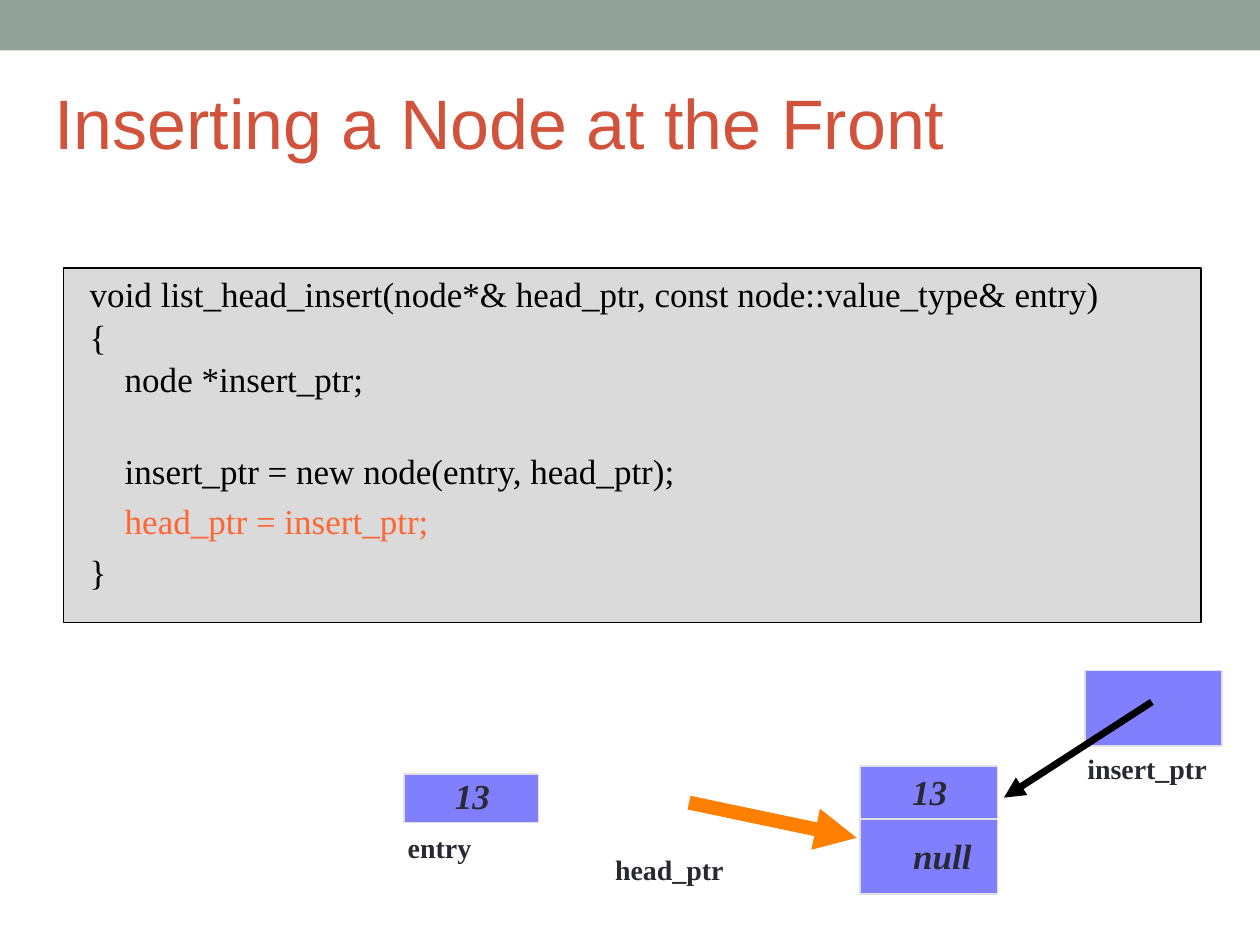
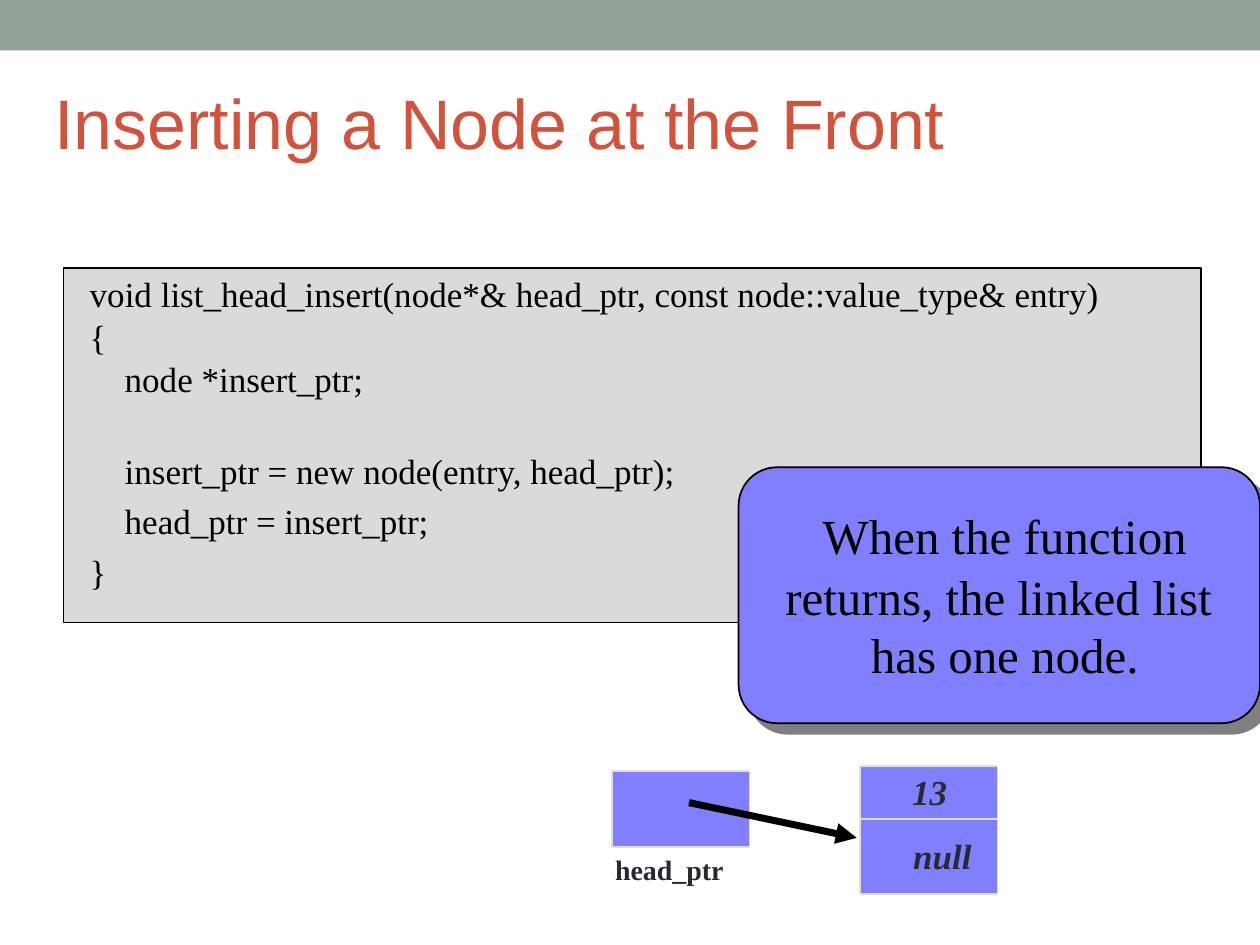
from lxml import etree
from pptx import Presentation
from pptx import util as u
from pptx.dml.color import RGBColor
from pptx.enum import shapes, text
from pptx.oxml import ns

SAGE = RGBColor(0x93, 0xA2, 0x99)
BRICK = RGBColor(0xD2, 0x53, 0x3C)
INK = RGBColor(0x29, 0x29, 0x34)
BLACK = RGBColor(0, 0, 0)
BLUE = RGBColor(0x80, 0x80, 0xFF)
PALE = RGBColor(0xE0, 0xE0, 0xE0)
GREY = RGBColor(0xDA, 0xDA, 0xDA)
ORANGE = RGBColor(0xFF, 0x80, 0x00)
CORAL = RGBColor(0xFF, 0x66, 0x33)

SANS, SERIF = "Arial", "Times New Roman"
TITLE = "Inserting a Node at the Front"

# Each code line with its space before, in points
CODE = [
    ("void list_head_insert(node*& head_ptr, const node::value_type& entry)", 0),
    ("{", 0),
    ("    node *insert_ptr;", 0),
    ("    insert_ptr = new node(entry, head_ptr);", 28.5),
    ("    head_ptr = insert_ptr;", 5),
    ("}", 5),
]


def cm(*nums):
    return [u.Cm(n) for n in nums]


def sub(node, tag, **attrs):
    return etree.SubElement(node, ns.qn(tag), attrs)


def write(par, words, size=20, font=SERIF, color=BLACK, bold=False,
          ital=False, align=text.PP_ALIGN.LEFT, lead=1.0, gap=0):
    par.alignment, par.line_spacing = align, lead
    if gap:
        par.space_before = u.Pt(gap)
    run = par.add_run()
    run.text = words
    face = run.font
    face.name, face.size = font, u.Pt(size)
    face.bold, face.italic = bold, ital
    face.color.rgb = color


class Deck:
    def __init__(self):
        self.prs = Presentation()
        self.prs.slide_width, self.prs.slide_height = cm(25.4, 19.05)
        self.slide = None

    def start(self, title):
        self.slide = self.prs.slides.add_slide(self.prs.slide_layouts[5])
        self.box(0, 0, 25.4, 1.02, SAGE)
        head = self.slide.shapes.title
        head.left, head.top, head.width, head.height = cm(0.84, 0.94, 21.59, 3.18)
        frame = head.text_frame
        frame.auto_size = text.MSO_AUTO_SIZE.NONE
        frame.vertical_anchor = text.MSO_ANCHOR.MIDDLE
        write(frame.paragraphs[0], title, size=40, font=SANS, color=BRICK, lead=0.95)

    def box(self, x, y, w, h, fill, edge=None, kind=shapes.MSO_SHAPE.RECTANGLE):
        shape = self.slide.shapes.add_shape(kind, *cm(x, y, w, h))
        shape.shadow.inherit = False
        shape.fill.solid()
        shape.fill.fore_color.rgb = fill
        if edge is None:
            shape.line.fill.background()
        else:
            shape.line.color.rgb = edge
            shape.line.width = u.Pt(1)
        return shape

    def frame(self, x, y, w, h, wrap=False):
        frame = self.slide.shapes.add_textbox(*cm(x, y, w, h)).text_frame
        frame.word_wrap = wrap
        return frame

    def lines(self, frame, rows):
        for i, (words, form) in enumerate(rows):
            par = frame.add_paragraph() if i else frame.paragraphs[0]
            write(par, words, **form)

    def label(self, x, y, w, words):
        self.lines(self.frame(x, y, w, 0.89),
                   [(words, dict(size=16, color=INK, bold=True, lead=0.93))])

    def value(self, x, y, w, words):
        self.lines(self.frame(x, y, w, 1.04),
                   [(words, dict(color=INK, bold=True, ital=True, lead=0.93))])

    def line(self, x1, y1, x2, y2, color, width, arrow=False):
        link = self.slide.shapes.add_connector(
            shapes.MSO_CONNECTOR.STRAIGHT, *cm(x1, y1, x2, y2))
        link.line.color.rgb, link.line.width = color, u.Pt(width)
        props = link._element.spPr
        if arrow:
            sub(props.find(ns.qn("a:ln")), "a:tailEnd", type="triangle")
        sub(props, "a:effectLst")

    def pointer(self, x, y):
        self.box(x, y, 2.77, 1.52, BLUE, PALE)

    def node(self):
        self.box(17.34, 15.45, 2.77, 2.57, BLUE, PALE)
        self.line(17.34, 16.51, 20.12, 16.51, PALE, 1)
        self.value(18.14, 15.49, 1.25, "13")
        self.value(18.16, 16.78, 1.75, "null")

    def head(self, color, width):
        self.label(12.15, 17.12, 2.8, "head_ptr")
        self.line(13.89, 16.18, 17.27, 16.89, color, width, arrow=True)

    def panel(self):
        self.box(1.28, 5.41, 22.94, 7.14, GREY, BLACK)

    def code(self, mark=None):
        rows = [(words, dict(gap=gap, lead=1.0 if i else 0.93,
                             color=CORAL if i == mark else BLACK))
                for i, (words, gap) in enumerate(CODE)]
        self.lines(self.frame(1.56, 5.44, 23.65, 6.65, wrap=True), rows)

    def callout(self, rows):
        card = self.box(14.89, 9.42, 10.51, 5.16, BLUE, BLACK,
                        shapes.MSO_SHAPE.ROUNDED_RECTANGLE)
        card.adjustments[0] = 0.15
        glow = card._element.spPr.find(ns.qn("a:effectLst"))
        shade = sub(glow, "a:outerShdw", dist=str(u.Pt(8.5)), dir="2700000",
                    algn="ctr", rotWithShape="0")
        sub(sub(shade, "a:srgbClr", val=str(BLACK)), "a:alpha", val="50000")
        self.lines(self.frame(15.58, 10.16, 9.35, 3.76),
                   [(words, dict(size=28, align=text.PP_ALIGN.CENTER,
                                 lead=1.0 if i else 0.95))
                    for i, words in enumerate(rows)])


def main():
    deck = Deck()

    # Slide 1: head_ptr is set to the new node
    deck.start(TITLE)
    deck.box(8.14, 15.6, 2.72, 0.98, BLUE, PALE)
    deck.label(7.97, 16.67, 2.0, "entry")
    deck.value(8.92, 15.57, 1.25, "13")
    deck.node()
    deck.pointer(21.87, 13.52)
    deck.label(21.67, 15.09, 3.0, "insert_ptr")
    deck.line(23.22, 14.15, 20.24, 16.08, BLACK, 4, arrow=True)
    deck.head(ORANGE, 8)
    deck.panel()
    deck.code(mark=4)

    # Slide 2: the list after the return
    deck.start(TITLE)
    deck.pointer(12.34, 15.55)
    deck.node()
    deck.head(BLACK, 4)
    deck.panel()
    deck.callout(["When the function", "returns, the linked list ", "has one node."])
    deck.code()

    deck.prs.save("out.pptx")


if __name__ == "__main__":
    main()
